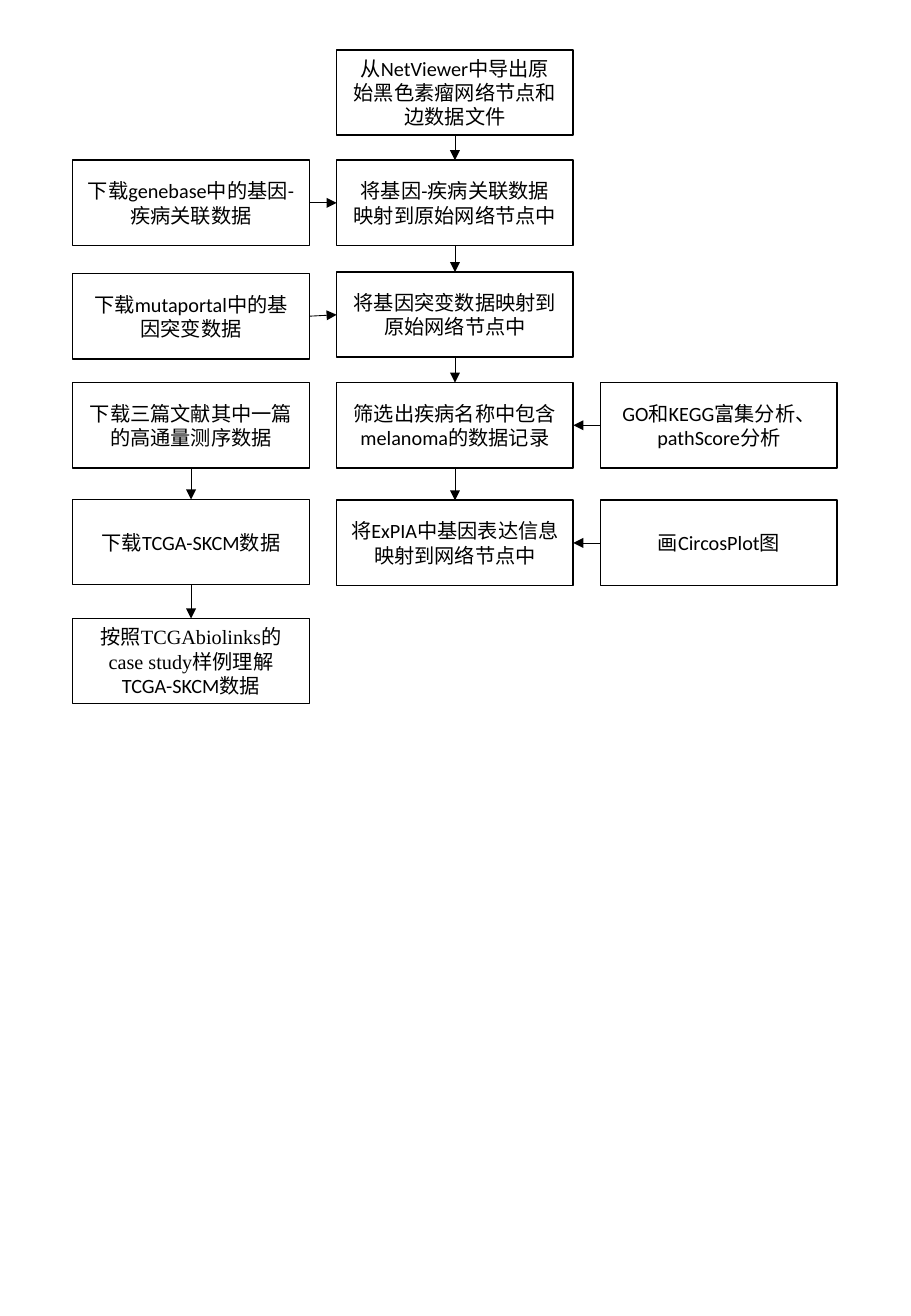
"""Build a flowchart of the melanoma network data workflow."""
from dataclasses import dataclass

from lxml import etree
from pptx import Presentation
from pptx.dml.color import RGBColor
from pptx.enum.shapes import MSO_CONNECTOR, MSO_SHAPE
from pptx.enum.text import MSO_ANCHOR, PP_ALIGN
from pptx.oxml.ns import qn
from pptx.util import Cm, Pt


@dataclass(frozen=True)
class Theme:
    ink: RGBColor = RGBColor(0, 0, 0)
    paper: RGBColor = RGBColor(255, 255, 255)
    sans: str = "Calibri"
    serif: str = "Times New Roman"
    text_size: Pt = Pt(12)
    box_line: Pt = Pt(1)
    arrow_line: Pt = Pt(0.5)


theme = Theme()
prs = Presentation()
prs.slide_width, prs.slide_height = Cm(19.05), Cm(27.51)
slide = prs.slides.add_slide(prs.slide_layouts[6])

BOX_WIDTH, BOX_HEIGHT = 4.95, 1.78
LEFT, MIDDLE, RIGHT = (1.52 + 5.52 * column for column in range(3))
TOP, BOTTOM = 0, 2
LEFT_SIDE, RIGHT_SIDE = 1, 3


def add_step(left, top, *runs):
    box = slide.shapes.add_shape(MSO_SHAPE.FLOWCHART_PROCESS, Cm(left), Cm(top),
                                 Cm(BOX_WIDTH), Cm(BOX_HEIGHT))
    box.shadow.inherit = False
    box.fill.solid()
    box.fill.fore_color.rgb = theme.paper
    box.line.color.rgb = theme.ink
    box.line.width = theme.box_line
    frame = box.text_frame
    frame.word_wrap = True
    frame.vertical_anchor = MSO_ANCHOR.MIDDLE
    frame.margin_left = frame.margin_right = Cm(0.3)
    frame.margin_top = frame.margin_bottom = Cm(0.15)
    paragraph = frame.paragraphs[0]
    paragraph.alignment = PP_ALIGN.CENTER
    for text, font_name in runs:
        run = paragraph.add_run()
        run.text = text
        run.font.name = font_name
        run.font.size = theme.text_size
        run.font.color.rgb = theme.ink
    return box


def add_arrow(start, start_site, end, end_site):
    arrow = slide.shapes.add_connector(MSO_CONNECTOR.STRAIGHT, 0, 0, 0, 0)
    arrow.begin_connect(start, start_site)
    arrow.end_connect(end, end_site)
    arrow.line.color.rgb = theme.ink
    arrow.line.width = theme.arrow_line
    etree.SubElement(arrow.line._get_or_add_ln(), qn("a:tailEnd"), type="triangle")
    etree.SubElement(arrow._element.spPr, qn("a:effectLst"))


steps = {}
for name, left, top, text in [
    ("export", MIDDLE, 1.04, "从NetViewer中导出原始黑色素瘤网络节点和边数据文件"),
    ("map_disease", MIDDLE, 3.35, "将基因-疾病关联数据映射到原始网络节点中"),
    ("get_disease", LEFT, 3.35, "下载genebase中的基因-疾病关联数据"),
    ("get_mutation", LEFT, 5.72, "下载mutaportal中的基因突变数据"),
    ("map_mutation", MIDDLE, 5.69, "将基因突变数据映射到原始网络节点中"),
    ("filter", MIDDLE, 8.0, "筛选出疾病名称中包含melanoma的数据记录"),
    ("enrichment", RIGHT, 8.0, "GO和KEGG富集分析、pathScore分析"),
    ("map_expression", MIDDLE, 10.46, "将ExPIA中基因表达信息映射到网络节点中"),
    ("circos", RIGHT, 10.46, "画CircosPlot图"),
    ("get_sequencing", LEFT, 8.0, "下载三篇文献其中一篇的高通量测序数据"),
    ("get_tcga", LEFT, 10.44, "下载TCGA-SKCM数据"),
]:
    steps[name] = add_step(left, top, (text, theme.sans))

steps["study_tcga"] = add_step(
    LEFT, 12.93,
    ("按照", theme.sans),
    ("TCGAbiolinks的case study样例理解", theme.serif),
    ("TCGA-SKCM数据", theme.sans),
)

for chain in [
    ("export", "map_disease", "map_mutation", "filter", "map_expression"),
    ("get_sequencing", "get_tcga", "study_tcga"),
]:
    for upper, lower in zip(chain, chain[1:]):
        add_arrow(steps[upper], BOTTOM, steps[lower], TOP)

for source, target in [("get_disease", "map_disease"), ("get_mutation", "map_mutation")]:
    add_arrow(steps[source], RIGHT_SIDE, steps[target], LEFT_SIDE)

for source, target in [("enrichment", "filter"), ("circos", "map_expression")]:
    add_arrow(steps[source], LEFT_SIDE, steps[target], RIGHT_SIDE)

prs.save("out.pptx")
